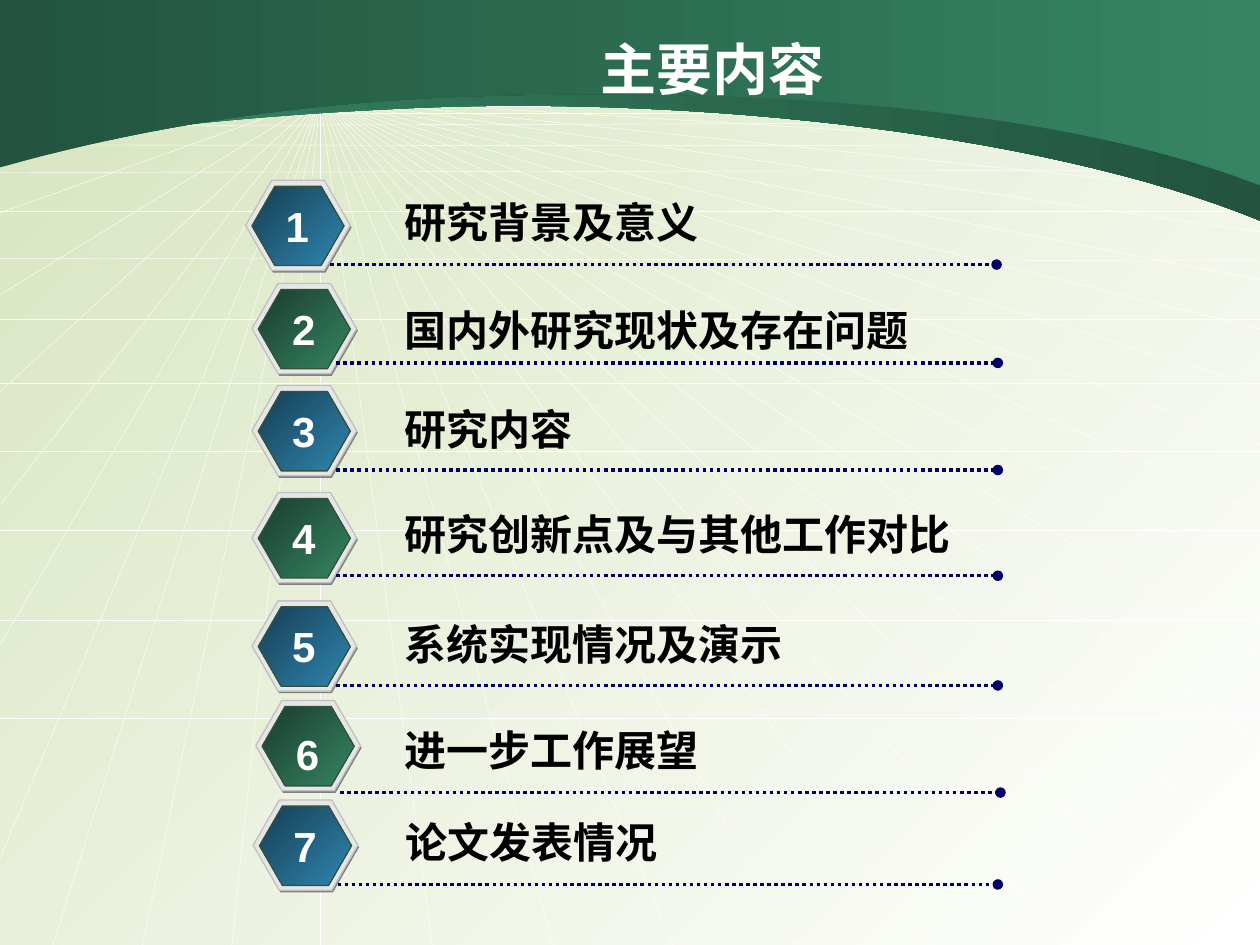
from dataclasses import dataclass

from lxml.etree import SubElement
from pptx import Presentation
from pptx.dml.color import RGBColor
from pptx.dml.fill import FillFormat
from pptx.enum.dml import MSO_LINE_DASH_STYLE as Dash
from pptx.enum.shapes import MSO_CONNECTOR as Conn, MSO_SHAPE as Shape
from pptx.enum.text import MSO_ANCHOR as Anchor, MSO_AUTO_SIZE as AutoSize, PP_ALIGN as Align
from pptx.oxml.ns import qn
from pptx.shapes.connector import Connector
from pptx.slide import Slide
from pptx.util import Pt

Point = tuple[float, float]

COLORS = {
    "white": "FFFFFF", "black": "000000", "pale": "D7E4BE",
    "band_dark": "22543F", "band_light": "368463",
    "shadow": "808080", "rim": "E6E6E6", "rim_line": "C0C0C0", "core_line": "335338",
    "green_dark": "193D2E", "green_light": "368463",
    "blue_dark": "163E52", "blue_light": "2F86B1", "rule": "000066",
}
WIDTH, HEIGHT = 720, 540
VANISH = (183, 56.2)
RIGHT_YS = [72, 88.6, 110.9, 132.5, 159.8, 187.9, 221, 254.2, 292.3, 330.5, 374.4, 424, 489.6]
BOTTOM_XS = [691.2, 609.1, 531.4, 453.6, 384.5, 316.1, 247, 183, 132.5, 81.4, 30.2]
LEFT_YS = [490.3, 368.6, 288.7, 223.9, 168.5, 121.7, 83.5, 69.8, 56.2]
HORIZON = [
    (410.4, 410.4), (354.2, 354.2), (303.1, 303.1), (257.8, 257.8), (218.9, 218.9),
    (182.2, 182.2), (147.6, 149), (121, 121), (98.6, 97.2), (82.8, 83.5),
    (72, 69.8), (64.8, 64.8), (60.5, 60.5),
]


@dataclass
class Band:
    start: Point
    curves: list[tuple[Point, Point, Point]]
    colors: tuple[str, str]


@dataclass
class Item:
    text: str
    left: float
    top: float
    text_top: float
    rule_y: float
    rule_end: float = 570.2
    text_left: float = 223.9
    number_drop: float = 7.9


BANDS = [
    Band((-0.7, 85.7), [((7.9, 85), (95.8, 67), (249.8, 61.2)),
                        ((403.9, 56.2), (598.3, 76.3), (720, 126))], ("band_light", "band_dark")),
    Band((-0.7, 95.8), [((7.9, 94.3), (108.7, 61.2), (262.1, 55.4)),
                        ((415.4, 49.7), (598.3, 58.3), (720, 105.8))], ("band_dark", "band_light")),
]
ITEMS = [
    Item("研究背景及意义", 140.4, 103, 108.7, 151.2, rule_end=569.5),
    Item("国内外研究现状及存在问题", 144, 162, 170.6, 207.4),
    Item("研究内容", 144, 220.3, 226.8, 268.6),
    Item("研究创新点及与其他工作对比", 144, 281.5, 287.3, 329),
    Item("系统实现情况及演示", 144, 343.4, 349.9, 391.7),
    Item("进一步工作展望", 146.2, 400.3, 410.4, 452.9, rule_end=571.7, number_drop=12.3),
    Item("论文发表情况", 144.7, 457.2, 463, 505.4, text_left=224.6),
]


def rgb(name: str) -> RGBColor:
    return RGBColor.from_string(COLORS[name])


def set_gradient(fill: FillFormat, colors: tuple[str, str], angle: float) -> None:
    fill.gradient()
    fill.gradient_angle = angle
    for stop, name in zip(fill.gradient_stops, colors):
        stop.color.rgb = rgb(name)


def add_line(s: Slide, start: Point, end: Point, color: str, width: float) -> Connector:
    line = s.shapes.add_connector(Conn.STRAIGHT, *map(Pt, start + end))
    line.line.color.rgb = rgb(color)
    line.line.width = Pt(width)
    SubElement(line._element.spPr, qn("a:effectLst"))
    return line


def bezier(p0: Point, p1: Point, p2: Point, p3: Point, steps: int = 30) -> list[Point]:
    points = []
    for i in range(1, steps + 1):
        t = i / steps
        u = 1 - t
        points.append(tuple(
            u**3 * a + 3 * u * u * t * b + 3 * u * t * t * c + t**3 * d
            for a, b, c, d in zip(p0, p1, p2, p3)))
    return points


def add_band(s: Slide, band: Band) -> None:
    points = [band.start]
    for curve in band.curves:
        points += bezier(points[-1], *curve)
    points += [(WIDTH, 0)]
    builder = s.shapes.build_freeform(Pt(-0.7), Pt(0))
    builder.add_line_segments([(Pt(x), Pt(y)) for x, y in points], close=True)
    sp = builder.convert_to_shape()
    sp.shadow.inherit = False
    set_gradient(sp.fill, band.colors, 0)
    sp.line.fill.background()


def add_text(s: Slide, text: str, box: tuple[float, float, float, float], font: str,
             size: float, color: str, align: Align, wrap: bool = False) -> None:
    tf = s.shapes.add_textbox(*map(Pt, box)).text_frame
    tf.text = text
    tf.word_wrap = wrap
    tf.auto_size = AutoSize.NONE if wrap else AutoSize.SHAPE_TO_FIT_TEXT
    tf.vertical_anchor = Anchor.MIDDLE if wrap else Anchor.TOP
    p = tf.paragraphs[0]
    p.alignment = align
    r = p.runs[0]
    r.font.name = font
    r.font.size = Pt(size)
    r.font.bold = True
    r.font.color.rgb = rgb(color)


def add_hexagon(s: Slide, left: float, top: float, width: float, height: float,
                colors: tuple[str, ...], outline: str | None = None) -> None:
    sp = s.shapes.add_shape(Shape.HEXAGON, Pt(left), Pt(top), Pt(width), Pt(height))
    sp.shadow.inherit = False
    sp.adjustments[0] = 0.289
    if len(colors) == 2:
        set_gradient(sp.fill, colors, 315)
    else:
        sp.fill.solid()
        sp.fill.fore_color.rgb = rgb(colors[0])
    if outline:
        sp.line.color.rgb = rgb(outline)
        sp.line.width = Pt(0.75)
    else:
        sp.line.fill.background()


def add_item(s: Slide, number: int, item: Item) -> None:
    x, y = item.left, item.top
    hue = "blue" if number % 2 else "green"
    add_hexagon(s, x + 0.7, y + 1.2, 59.8, 51.6, ("shadow",))
    add_hexagon(s, x, y, 59.8, 51.6, ("rim",), "rim_line")
    add_hexagon(s, x + 3.6, y + 3.4, 52.6, 45.4, (f"{hue}_dark", f"{hue}_light"), "core_line")
    rule = add_line(s, (x + 48.2, item.rule_y), (item.rule_end, item.rule_y), "rule", 2)
    rule.line.dash_style = Dash.ROUND_DOT
    SubElement(rule.line._get_or_add_ln(), qn("a:tailEnd"), type="oval")
    add_text(s, item.text, (item.text_left, item.text_top, 24 * len(item.text) + 14.4, 36),
             "Times New Roman", 24, "black", Align.LEFT)
    add_text(s, str(number), (x + 15.8, y + item.number_drop, 27.4, 36),
             "Arial", 24, "white", Align.CENTER)


def main() -> None:
    prs = Presentation()
    prs.slide_width, prs.slide_height = Pt(WIDTH), Pt(HEIGHT)
    s = prs.slides.add_slide(prs.slide_layouts[6])
    set_gradient(s.background.fill, ("pale", "white"), 315)

    ray_ends = [(WIDTH, y) for y in RIGHT_YS]
    ray_ends += [(x, HEIGHT) for x in BOTTOM_XS]
    ray_ends += [(0, y) for y in LEFT_YS]
    for end in ray_ends:
        add_line(s, VANISH, end, "white", 0.25)
    for left_y, right_y in HORIZON:
        add_line(s, (0, left_y), (WIDTH, right_y), "white", 0.25)
    for band in BANDS:
        add_band(s, band)

    add_text(s, "主要内容", (116.6, 16.6, 581.8, 44.6), "DejaVu Sans", 32, "white",
             Align.CENTER, wrap=True)
    for number, item in enumerate(ITEMS, 1):
        add_item(s, number, item)
    prs.save("out.pptx")


if __name__ == "__main__":
    main()
